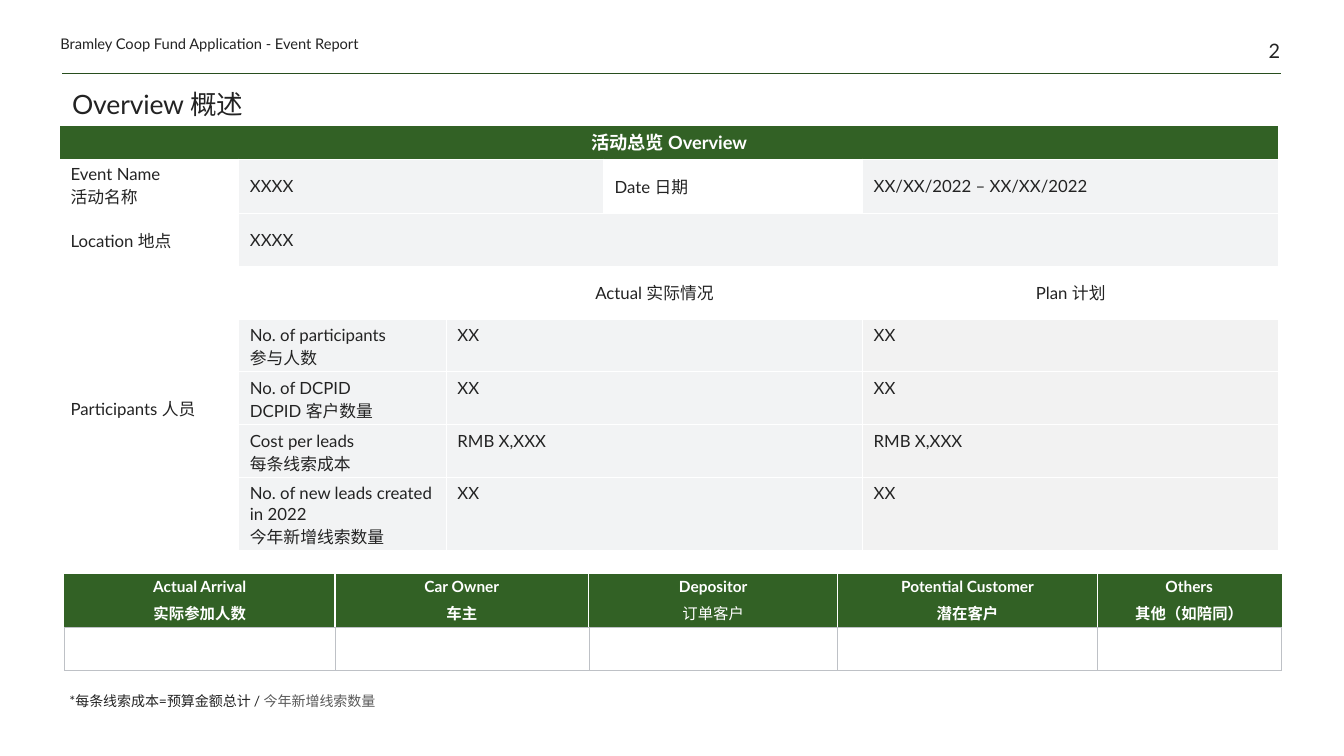
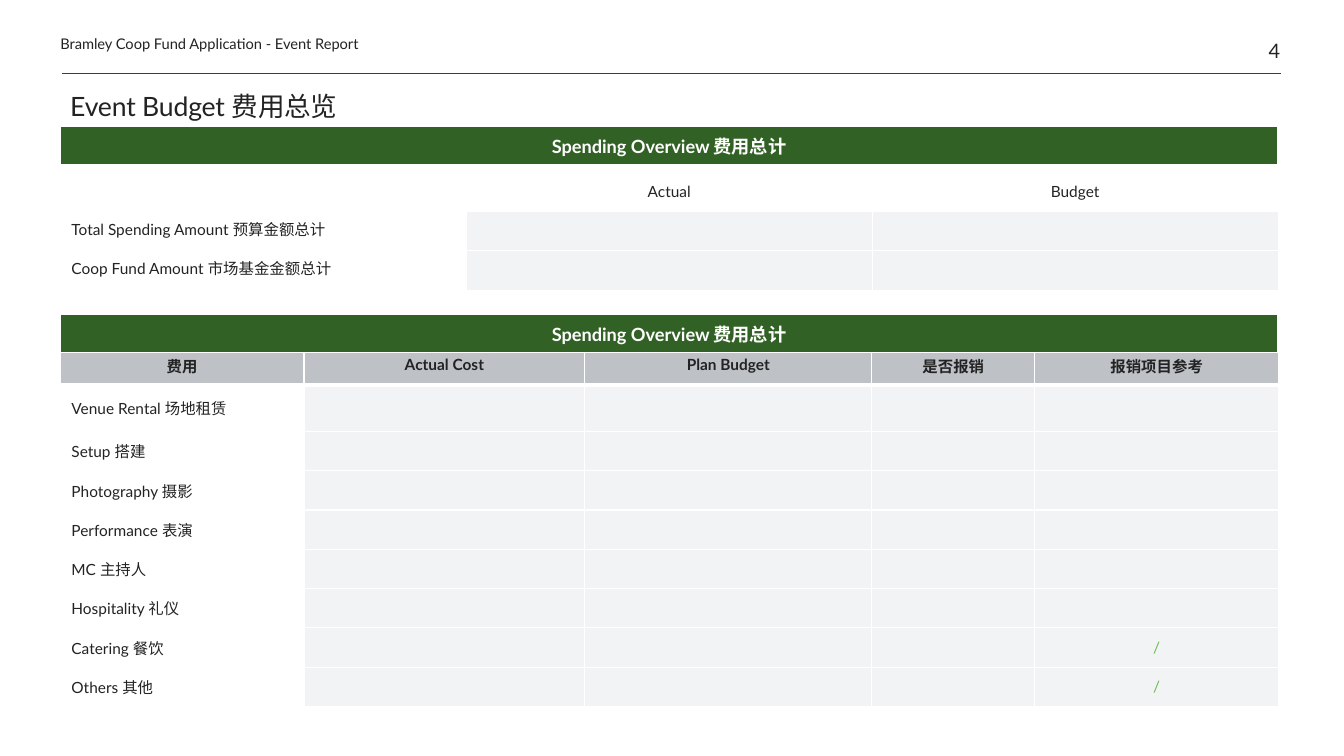
"""Build the overview and budget slides of an event report."""
import dataclasses
import typing

import lxml.etree
import pptx
import pptx.dml.color
import pptx.enum.shapes
import pptx.enum.text
import pptx.oxml.ns
import pptx.util

Cm = pptx.util.Cm
Pt = pptx.util.Pt
qn = pptx.oxml.ns.qn
ALIGN = pptx.enum.text.PP_ALIGN
ANCHOR = pptx.enum.text.MSO_ANCHOR

LATIN_FONT = "Lato"
CHINESE_FONT = "Noto Sans CJK SC"
INK, MUTED, WHITE = "232323", "5A5A5A", "FFFFFF"
GREEN, RULE_GREEN, SLASH_GREEN = "326125", "284E1E", "67BC51"
PALE, PALE_NEUTRAL, GREY = "F2F3F4", "F2F2F2", "BEC1C6"


class Box(typing.NamedTuple):
    """Place and size in centimetres."""

    left: float
    top: float
    width: float
    height: float


class Edge(typing.NamedTuple):
    """Colour and width in points of a cell border."""

    color: str
    width: float


class Piece(typing.NamedTuple):
    """Text of one run with its colour."""

    text: str
    color: str = INK


WHITE_EDGE = Edge(WHITE, 1)
THICK_EDGE = Edge(WHITE, 3)
GREY_EDGE = Edge(GREY, 0.5)
GREEN_EDGE = Edge(GREEN, 1)


@dataclasses.dataclass(frozen=True)
class TextStyle:
    """Look of the text in a frame; insets are left, top, right, bottom."""

    size: float
    color: str = INK
    bold: bool = False
    align: ALIGN = ALIGN.LEFT
    anchor: ANCHOR = ANCHOR.MIDDLE
    insets: tuple[float, float, float, float] = (0.28, 0.08, 0.28, 0.08)
    space_before: float = 0
    line_spacing: float = 1.0
    tracking: int = 0


@dataclasses.dataclass(frozen=True)
class Cell:
    """One table cell; edges are left, right, top, bottom."""

    text: str = ""
    style: TextStyle = TextStyle(11)
    fill: str | None = None
    span: tuple[int, int] = (1, 1)
    edges: tuple[Edge, Edge, Edge, Edge] = (WHITE_EDGE,) * 4


TITLE = TextStyle(19, anchor=ANCHOR.BOTTOM, insets=(0.25, 0.13, 0.25, 0.13),
                  line_spacing=0.85, tracking=-10)
RUNNING_HEAD = TextStyle(10.5, anchor=ANCHOR.BOTTOM, insets=(0, 0, 0, 0))
PAGE_NUMBER = dataclasses.replace(RUNNING_HEAD, size=14.2, align=ALIGN.RIGHT)
FOOTNOTE = TextStyle(10, anchor=ANCHOR.TOP, insets=(0.25, 0.13, 0.25, 0.13))
BAND = TextStyle(13, WHITE, True, ALIGN.CENTER)
BODY = TextStyle(12)
BODY_CENTER = dataclasses.replace(BODY, align=ALIGN.CENTER)
BODY_TOP = dataclasses.replace(BODY, anchor=ANCHOR.TOP, insets=(0.28, 0.15, 0.28, 0.03))
ARRIVAL = TextStyle(11, WHITE, True, ALIGN.CENTER, insets=(0.13, 0, 0.13, 0), space_before=4)
LABEL = TextStyle(11)
LABEL_TOP = dataclasses.replace(LABEL, anchor=ANCHOR.TOP, insets=(0.28, 0.15, 0.28, 0.08))
LABEL_CENTER = dataclasses.replace(LABEL, align=ALIGN.CENTER)
COST_HEAD = dataclasses.replace(LABEL_TOP, bold=True, align=ALIGN.CENTER)
SLASH = dataclasses.replace(LABEL_CENTER, color=SLASH_GREEN)


def rgb(color: str) -> pptx.dml.color.RGBColor:
    """Turn a hex string into a colour."""
    return pptx.dml.color.RGBColor.from_string(color)


def apply_format(target: typing.Any, values: dict[str, typing.Any]) -> None:
    """Set each named attribute of the target."""
    for name, value in values.items():
        setattr(target, name, value)


def inset_values(style: TextStyle) -> dict[str, typing.Any]:
    """Give the margin attributes of a text style."""
    names = ("margin_left", "margin_top", "margin_right", "margin_bottom")
    return {name: Cm(inset) for name, inset in zip(names, style.insets)}


def add_run(paragraph: typing.Any, piece: Piece, style: TextStyle) -> None:
    """Append a formatted run to a paragraph."""
    run = paragraph.add_run()
    run.text = piece.text
    apply_format(run.font, {"size": Pt(style.size), "bold": style.bold, "name": LATIN_FONT})
    run.font.color.rgb = rgb(piece.color)
    properties = run._r.get_or_add_rPr()
    lxml.etree.SubElement(properties, qn("a:ea"), typeface=CHINESE_FONT)
    if style.tracking:
        properties.set("spc", str(style.tracking))


def write_text(frame: typing.Any, lines: list[list[Piece]], style: TextStyle) -> None:
    """Fill a text frame with one paragraph per line."""
    for index, pieces in enumerate(lines):
        paragraph = frame.add_paragraph() if index else frame.paragraphs[0]
        apply_format(paragraph, {"alignment": style.align, "line_spacing": style.line_spacing,
                                 "space_before": Pt(style.space_before)})
        for piece in pieces:
            add_run(paragraph, piece, style)


def format_frame(frame: typing.Any, style: TextStyle) -> None:
    """Set wrapping, anchor and insets of a shape's text frame."""
    apply_format(frame, {"word_wrap": True, "vertical_anchor": style.anchor,
                         "auto_size": pptx.enum.text.MSO_AUTO_SIZE.NONE, **inset_values(style)})


def add_text(slide: typing.Any, box: Box, pieces: list[Piece], style: TextStyle) -> None:
    """Add a one-paragraph text box."""
    frame = slide.shapes.add_textbox(*map(Cm, box)).text_frame
    format_frame(frame, style)
    write_text(frame, [pieces], style)


def add_edges(properties: typing.Any, edges: tuple[Edge, ...]) -> None:
    """Write the four borders of a cell."""
    for side, edge in zip("LRTB", edges):
        line = lxml.etree.SubElement(properties, qn(f"a:ln{side}"), w=str(Pt(edge.width)))
        fill = lxml.etree.SubElement(line, qn("a:solidFill"))
        lxml.etree.SubElement(fill, qn("a:srgbClr"), val=edge.color)


def format_cell(target: typing.Any, cell: Cell) -> None:
    """Give a table cell its borders, fill and text."""
    add_edges(target._tc.get_or_add_tcPr(), cell.edges)
    if cell.fill:
        target.fill.solid()
        target.fill.fore_color.rgb = rgb(cell.fill)
    else:
        target.fill.background()
    apply_format(target, {"vertical_anchor": cell.style.anchor, **inset_values(cell.style)})
    if cell.text:
        lines = [[Piece(line, cell.style.color)] for line in cell.text.split("\n")]
        write_text(target.text_frame, lines, cell.style)
    else:
        paragraph = target.text_frame.paragraphs[0]._p
        lxml.etree.SubElement(paragraph, qn("a:endParaRPr"), sz=str(int(cell.style.size * 100)))


def add_table(slide: typing.Any, left: float, top: float, widths: list[float],
              heights: list[float], rows: list[list[Cell | None]]) -> typing.Any:
    """Add a table; None marks a cell covered by a span."""
    box = Box(left, top, sum(widths), sum(heights))
    table = slide.shapes.add_table(len(heights), len(widths), *map(Cm, box)).table
    apply_format(table, {"first_row": False, "horz_banding": False})
    for column, width in zip(table.columns, widths):
        column.width = Cm(width)
    for row, height in zip(table.rows, heights):
        row.height = Cm(height)
    for row_index, row in enumerate(rows):
        for column_index, cell in enumerate(row):
            target = table.cell(row_index, column_index)
            format_cell(target, cell or Cell())
            if cell and cell.span != (1, 1):
                down, across = cell.span
                target.merge(table.cell(row_index + down - 1, column_index + across - 1))
    return table


def add_band(slide: typing.Any, top: float, text: str) -> None:
    """Add a full-width green heading band."""
    add_table(slide, 1.52, top, [30.68], [0.96], [[Cell(text, BAND, GREEN)]])


def add_report_slide(presentation: typing.Any, title: str, box: Box, number: int) -> typing.Any:
    """Add a slide with the running head, rule, page number and title."""
    slide = presentation.slides.add_slide(presentation.slide_layouts[5])
    rule = slide.shapes.add_connector(pptx.enum.shapes.MSO_CONNECTOR.STRAIGHT,
                                      *map(Cm, (1.57, 1.85, 32.28, 1.85)))
    rule.line.color.rgb = rgb(RULE_GREEN)
    rule.line.width = Pt(0.5)
    lxml.etree.SubElement(rule._element.spPr, qn("a:effectLst"))
    add_text(slide, Box(30.15, 0, 2.11, 1.57), [Piece(str(number))], PAGE_NUMBER)
    add_text(slide, Box(1.52, 0.74, 10.59, 0.58),
             [Piece("Bramley Coop Fund Application - Event Report")], RUNNING_HEAD)
    shape = slide.shapes.title
    apply_format(shape, {name: Cm(value) for name, value in box._asdict().items()})
    format_frame(shape.text_frame, TITLE)
    write_text(shape.text_frame, [[Piece(title)]], TITLE)
    return slide


def build_overview(presentation: typing.Any) -> None:
    """Build the event overview slide."""
    slide = add_report_slide(presentation, "Overview 概述", Box(1.57, 2.13, 30.71, 1.02), 2)
    measures = [
        ("No. of participants\n参与人数", "XX"),
        ("No. of DCPID\nDCPID 客户数量", "XX"),
        ("Cost per leads\n每条线索成本", "RMB X,XXX"),
        ("No. of new leads created in 2022\n今年新增线索数量", "XX"),
    ]
    rows = [
        [Cell("活动总览 Overview", BAND, GREEN, (1, 5))] + [None] * 4,
        [Cell("Event Name\n活动名称", BODY), Cell("XXXX", BODY, PALE, (1, 2)), None,
         Cell("Date 日期", BODY), Cell("XX/XX/2022 – XX/XX/2022", BODY, PALE)],
        [Cell("Location 地点", BODY), Cell("XXXX", BODY, PALE, (1, 4))] + [None] * 3,
        [Cell("Participants 人员", BODY, span=(5, 1)), Cell(),
         Cell("Actual 实际情况", BODY_CENTER, span=(1, 2)), None, Cell("Plan 计划", BODY_CENTER)],
    ]
    rows += [[None, Cell(name, BODY_TOP, PALE), Cell(value, BODY_TOP, PALE, (1, 2)), None,
              Cell(value, BODY_TOP, PALE_NEUTRAL)] for name, value in measures]
    add_table(slide, 1.5, 3.15, [4.52, 5.23, 3.96, 6.53, 10.49],
              [0.86, 1.37] + [1.33] * 5 + [1.85], rows)

    groups = ["Actual Arrival\n实际参加人数", "Car Owner\n车主", "Depositor\n订单客户",
              "Potential Customer\n潜在客户", "Others\n其他（如陪同）"]
    last = len(groups) - 1
    heads = [Cell(text, ARRIVAL, GREEN,
                  edges=(WHITE_EDGE if index else GREEN_EDGE,
                         WHITE_EDGE if index < last else GREEN_EDGE, GREEN_EDGE, GREY_EDGE))
             for index, text in enumerate(groups)]
    arrivals = add_table(slide, 1.63, 14.48, [6.81, 6.4, 6.27, 6.55, 4.62], [1.32, 1.1],
                         [heads, [Cell(edges=(GREY_EDGE,) * 4)] * len(groups)])
    arrivals.cell(0, 2).text_frame.paragraphs[1].runs[0].font.bold = False
    add_text(slide, Box(1.5, 17.32, 14.22, 0.69),
             [Piece("*每条线索成本=预算金额总计 / "), Piece("今年新增线索数量", MUTED)], FOOTNOTE)


def build_budget(presentation: typing.Any) -> None:
    """Build the event budget slide."""
    slide = add_report_slide(presentation, "Event Budget 费用总览", Box(1.52, 1.88, 30.68, 1.32), 4)
    add_band(slide, 3.18, "Spending Overview 费用总计")
    pale = Cell(fill=PALE)
    totals = ["Total Spending Amount 预算金额总计", "Coop Fund Amount 市场基金金额总计"]
    add_table(slide, 1.52, 4.32, [10.23] * 3, [1] * 3,
              [[Cell(text, LABEL_CENTER) for text in ("", "Actual", "Budget")]]
              + [[Cell(text, LABEL_TOP), pale, pale] for text in totals])

    head_edges = (WHITE_EDGE, WHITE_EDGE, WHITE_EDGE, THICK_EDGE)
    heads = ["费用", "Actual Cost", "Plan Budget", "是否报销", "报销项目参考"]
    costs = {"Venue Rental 场地租赁": "", "Setup 搭建": "", "Photography 摄影": "",
             "Performance 表演": "", "MC 主持人": "", "Hospitality 礼仪": "",
             "Catering 餐饮": "/", "Others 其他": "/"}
    rows = [[Cell(text, COST_HEAD, GREY, edges=head_edges) for text in heads]]
    rows += [[Cell(name, LABEL), pale, pale, pale, Cell(mark, SLASH, PALE)]
             for name, mark in costs.items()]
    add_table(slide, 1.52, 8.79, [6.14, 7.08, 7.23, 4.11, 6.14], [0.91, 1.17] + [0.99] * 7, rows)
    add_band(slide, 7.92, "Spending Overview 费用总计")


def main() -> None:
    """Create and save the presentation."""
    presentation = pptx.Presentation()
    apply_format(presentation, {"slide_width": Cm(33.87), "slide_height": Cm(19.05)})
    build_overview(presentation)
    build_budget(presentation)
    presentation.save("out.pptx")


if __name__ == "__main__":
    main()
